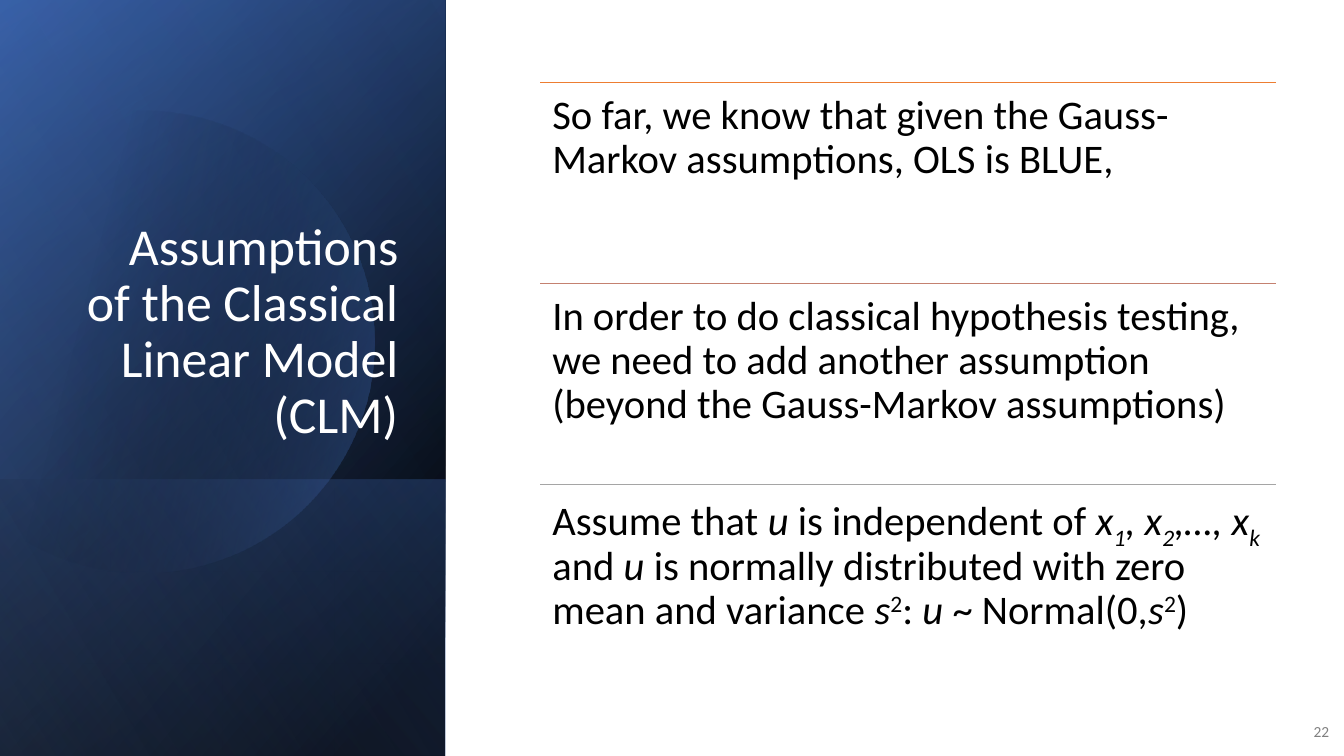
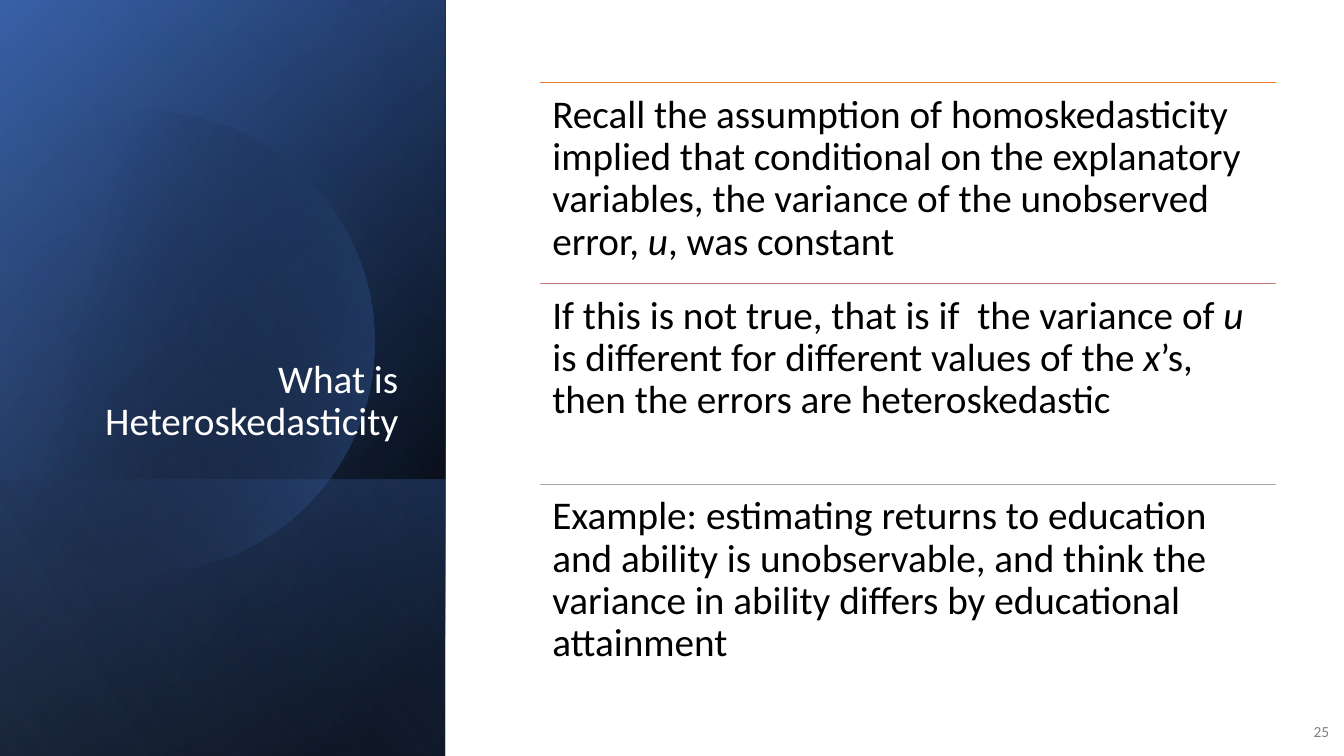
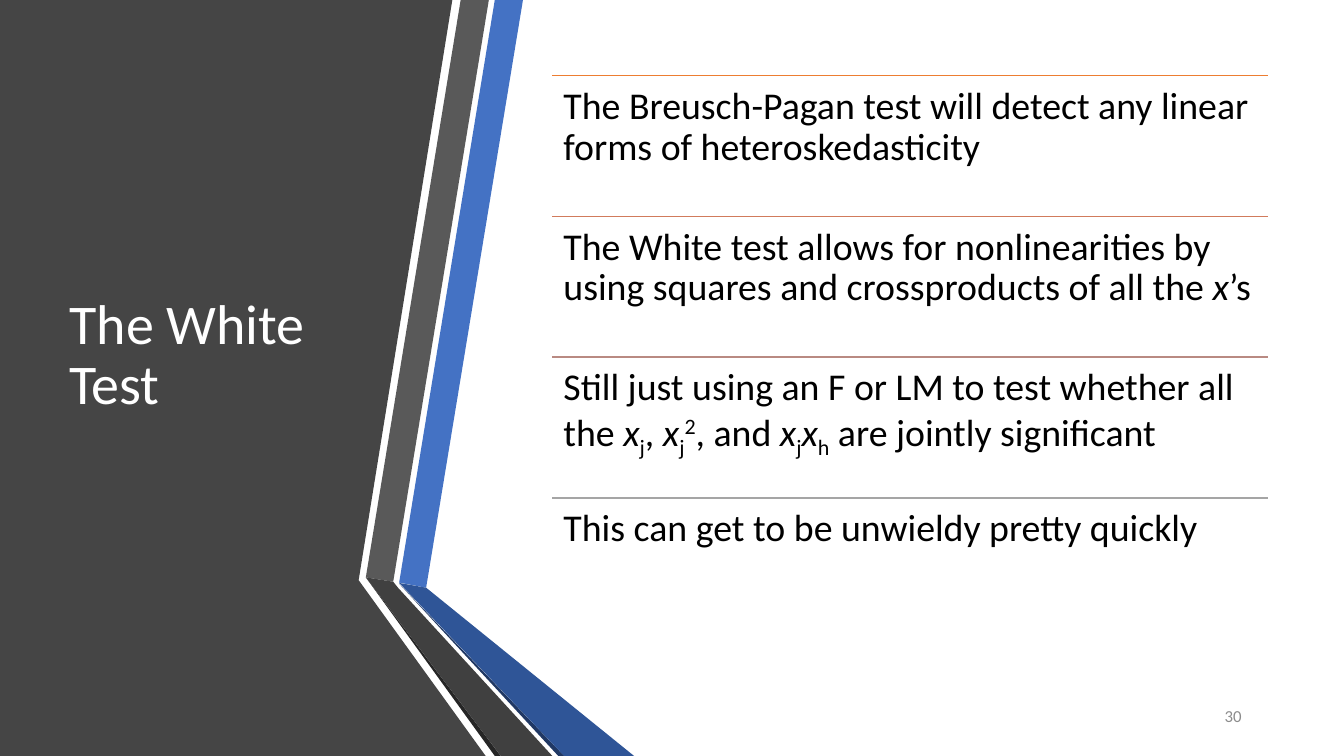
"""Build three econometrics slides with a title panel on the left and ruled points on the right."""
from math import acos, cos, sin

from pptx import Presentation
from pptx.dml.color import RGBColor
from pptx.enum.shapes import MSO_CONNECTOR as CONNECTOR, MSO_SHAPE as SHAPE
from pptx.enum.text import MSO_ANCHOR as ANCHOR, MSO_AUTO_SIZE as AUTO_SIZE, PP_ALIGN as ALIGN
from pptx.oxml.ns import qn
from pptx.oxml.xmlchemy import OxmlElement
from pptx.util import Cm, Pt

FONT = "Calibri"
SLIDE_W, SLIDE_H = 33.87, 19.05
PANEL_W = 11.22
COLORS = {
    "white": "FFFFFF", "black": "000000", "blue": "4472C4", "navy": "2F5597",
    "midnight": "203864", "sky": "8FAADC", "charcoal": "454545", "gray": "595959",
    "dark gray": "404040", "near black": "262626", "number": "808080", "light number": "8C8C8C",
    "orange": "ED7D31", "copper": "D17B5C", "rose": "C48170", "mauve": "B98A82", "silver": "A5A5A5",
}

GRADIENT_BANDS = [
    (0, [(8, "black", 100), (100, "navy", 100)], 50),
    (0, [(0, "black", 0), (99, "blue", 46)], 30),
    (12.09, [(2, "blue", 29), (100, "black", 30)], 130),
]
DISC = {"x": 3.61, "y": 8.61, "radius": 5.82, "cut": -0.38, "steps": 90}
DISC_GRADIENT = ([(29, "black", 0), (100, "blue", 43)], 14)
VEIL = (0, [(0, "black", 0), (99, "sky", 11)], 120)

RIBBONS = [
    ("charcoal", [(0, 0), (11.4, 0), (9.04, 14.62), (12.24, SLIDE_H), (0, SLIDE_H)]),
    ("blue", [(10.06, 14.68), (10.74, 14.81), (13.18, 0), (12.47, 0)]),
    ("gray", [(12.32, 0), (11.61, 0), (9.22, 14.55), (9.91, 14.66)]),
    ("near black", [(9.22, 14.55), (12.47, SLIDE_H), (12.62, SLIDE_H)]),
    ("midnight", [(10.06, 14.71), (14.07, SLIDE_H), (14.22, SLIDE_H)]),
    ("navy", [(10.06, 14.69), (14.22, SLIDE_H), (15.98, SLIDE_H), (10.74, 14.81)]),
    ("dark gray", [(13.92, SLIDE_H), (10.03, 14.81), (9.91, 14.66), (9.22, 14.55), (12.62, SLIDE_H)]),
]

BLUE_DESIGN = {
    "title": (1.63, 4.67, 8.66, 6.65), "anchor": ANCHOR.BOTTOM, "align": ALIGN.RIGHT,
    "number": (32.51, 17.93, 1.24, 1.02), "number size": 11, "number color": "number",
    "left": 13.62, "top": 2.08, "width": 18.53, "row": 5.06, "inset": 0.3,
    "rules": ["orange", "rose", "silver"], "rule width": 0.5,
}
RIBBON_DESIGN = {
    "title": (1.5, 1.9, 7.72, 14.17), "anchor": ANCHOR.MIDDLE, "align": ALIGN.LEFT,
    "number": (28.52, 17.53, 3.02, 1.02), "number size": 12, "number color": "light number",
    "left": 13.92, "top": 1.9, "width": 18.03, "row": 3.55, "inset": 0.28,
    "rules": ["orange", "copper", "mauve", "silver"], "rule width": 1,
}

ITALIC, SUB, SUP = "italic", "sub", "sup"
BASELINES = {SUB: "-25000", SUP: "30000"}
U, X, S = ("u", ITALIC), ("x", ITALIC), ("s", ITALIC)
SQUARED, J = ("2", SUP), ("j", SUB)

SLIDES = [
    {"design": BLUE_DESIGN, "title": "Assumptions of the Classical Linear Model (CLM)",
     "title size": 37, "number": "22", "size": 29, "points": [
         [("So far, we know that given the Gauss-Markov assumptions, OLS is BLUE,",)],
         [("In order to do classical hypothesis testing, we need to add another assumption "
           "(beyond the Gauss-Markov assumptions)",)],
         [("Assume that ",), U, (" is independent of ",), X, ("1", ITALIC, SUB), (", x", ITALIC),
          ("2", ITALIC, SUB), (",…, x", ITALIC), ("k", ITALIC, SUB), (" and ",), U,
          (" is normally distributed with zero mean and variance ",), S, SQUARED, (": ",), U,
          (" ~ Normal(0,",), S, SQUARED, (")",)],
     ]},
    {"design": BLUE_DESIGN, "title": "What is Heteroskedasticity",
     "title size": 28, "number": "25", "size": 28, "points": [
         [("Recall the assumption of homoskedasticity implied that conditional on the explanatory "
           "variables, the variance of the unobserved error, ",), U, (", was constant",)],
         [("If this is not true, that is if  the variance of ",), U,
          (" is different for different values of the ",), X,
          ("’s, then the errors are heteroskedastic",)],
         [("Example: estimating returns to education and ability is unobservable, and think the "
           "variance in ability differs by educational attainment",)],
     ]},
    {"design": RIBBON_DESIGN, "title": "The White Test",
     "title size": 40, "number": "30", "size": 27, "points": [
         [("The Breusch-Pagan test will detect any linear forms of heteroskedasticity",)],
         [("The White test allows for nonlinearities by using squares and crossproducts of all the ",),
          X, ("’s",)],
         [("Still just using an F or LM to test whether all the ",), X, J, (", ",), X, J, SQUARED,
          (", and ",), X, J, X, ("h", SUB), (" are jointly significant",)],
         [("This can get to be unwieldy pretty quickly",)],
     ]},
]


def color(name):
    return RGBColor.from_string(COLORS[name])


def cms(values):
    return [Cm(value) for value in values]


def fill_gradient(shape, stops, angle):
    shape.shadow.inherit = False
    shape.line.fill.background()
    shape.fill.gradient()
    shape.fill.gradient_angle = 360 - angle
    for stop, (position, name, opacity) in zip(shape.fill.gradient_stops, stops):
        stop.position = position / 100
        stop.color.rgb = color(name)
    for rgb, (_, _, opacity) in zip(shape._element.spPr.iter(qn("a:srgbClr")), stops):
        if opacity < 100:
            alpha = OxmlElement("a:alpha")
            alpha.set("val", str(opacity * 1000))
            rgb.append(alpha)


def add_gradient_band(slide, top, stops, angle):
    """Add a band reaching from top to the slide's foot, turned a quarter so its gradient runs upwards."""
    height = SLIDE_H - top
    frame = ((PANEL_W - height) / 2, top + (height - PANEL_W) / 2, height, PANEL_W)
    band = slide.shapes.add_shape(SHAPE.RECTANGLE, *cms(frame))
    band.rotation = 90
    band._element.spPr.xfrm.set("flipH", "1")
    fill_gradient(band, stops, angle)


def add_outline(slide, points):
    corners = [cms(point) for point in points]
    builder = slide.shapes.build_freeform(*corners[0])
    builder.add_line_segments(corners[1:], close=True)
    outline = builder.convert_to_shape()
    outline.shadow.inherit = False
    outline.line.fill.background()
    return outline


def draw_blue_panel(slide):
    for band in GRADIENT_BANDS:
        add_gradient_band(slide, *band)
    radius, steps = DISC["radius"], DISC["steps"]
    reach = acos((DISC["cut"] - DISC["x"]) / radius)
    angles = [reach * (2 * step / steps - 1) for step in range(steps + 1)]
    arc = [(DISC["x"] + radius * cos(a), DISC["y"] + radius * sin(a)) for a in angles]
    fill_gradient(add_outline(slide, arc), *DISC_GRADIENT)
    add_gradient_band(slide, *VEIL)


def draw_ribbons(slide):
    for name, points in RIBBONS:
        ribbon = add_outline(slide, points)
        ribbon.fill.solid()
        ribbon.fill.fore_color.rgb = color(name)


def write(frame, pieces, size, name, align=ALIGN.LEFT, anchor=ANCHOR.TOP, spacing=0.9):
    frame.word_wrap = True
    frame.auto_size = AUTO_SIZE.NONE
    frame.vertical_anchor = anchor
    paragraph = frame.paragraphs[0]
    paragraph.alignment = align
    paragraph.line_spacing = spacing
    for text, *styles in pieces:
        run = paragraph.add_run()
        run.text = text
        run.font.name = FONT
        run.font.size = Pt(size)
        run.font.color.rgb = color(name)
        if ITALIC in styles:
            run.font.italic = True
        for style in styles:
            if style in BASELINES:
                run._r.get_or_add_rPr().set("baseline", BASELINES[style])


def add_title(slide, content, design):
    title = slide.shapes.title
    title.left, title.top, title.width, title.height = cms(design["title"])
    write(title.text_frame, [(content["title"],)], content["title size"], "white",
          design["align"], design["anchor"])
    slide.shapes._spTree.append(title._element)


def add_number(slide, content, design):
    number = slide.shapes.add_textbox(*cms(design["number"]))
    write(number.text_frame, [(content["number"],)], design["number size"], design["number color"],
          ALIGN.RIGHT, ANCHOR.MIDDLE, 1.0)


def add_points(slide, content, design):
    left, width, row = design["left"], design["width"], design["row"]
    for index, (pieces, rule_color) in enumerate(zip(content["points"], design["rules"])):
        top = design["top"] + index * row
        rule = slide.shapes.add_connector(CONNECTOR.STRAIGHT, *cms((left, top, left + width, top)))
        rule.line.color.rgb = color(rule_color)
        rule.line.width = Pt(design["rule width"])
        rule._element.spPr.append(OxmlElement("a:effectLst"))
        point = slide.shapes.add_textbox(*cms((left, top, width, row)))
        frame = point.text_frame
        frame.margin_left = frame.margin_right = Cm(design["inset"])
        frame.margin_top = frame.margin_bottom = Cm(design["inset"])
        write(frame, pieces, content["size"], "black")


def main():
    deck = Presentation()
    deck.slide_width, deck.slide_height = cms((SLIDE_W, SLIDE_H))
    for content in SLIDES:
        design = content["design"]
        slide = deck.slides.add_slide(deck.slide_layouts[5])
        if design is BLUE_DESIGN:
            draw_blue_panel(slide)
        else:
            draw_ribbons(slide)
        add_title(slide, content, design)
        add_number(slide, content, design)
        add_points(slide, content, design)
    deck.save("out.pptx")


if __name__ == "__main__":
    main()
